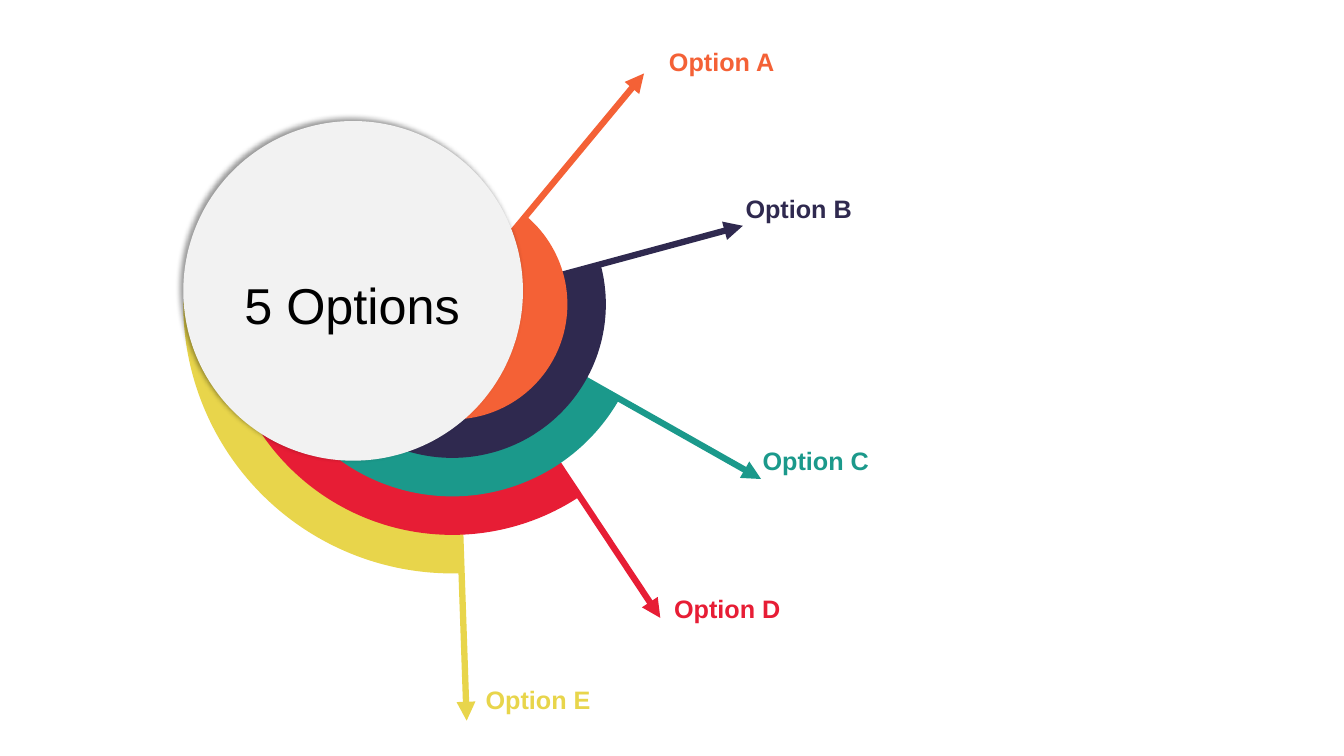
import math

import pptx
import pptx.dml.color
import pptx.enum.shapes
import pptx.enum.text
import pptx.oxml.ns
import pptx.util
from lxml import etree

Cm = pptx.util.Cm
Pt = pptx.util.Pt
RGB = pptx.dml.color.RGBColor.from_string
Kind = pptx.enum.shapes.MSO_SHAPE
Align = pptx.enum.text.PP_ALIGN
qn = pptx.oxml.ns.qn

COLORS = {
    "A": "F46136",
    "B": "2F294F",
    "C": "1B998B",
    "D": "E71D35",
    "E": "E8D54B",
    "disc": "F2F2F2",
    "text": "000000",
    "shade": "000000",
}

# All lengths in cm: hub of the pies, inner radius, growth per ring
HUB = (11.4, 7.67)
INNER, STEP = 2.9, 0.97
END = 180.58  # angle where every pie ends, in degrees

# Option, arrow tip, label corner
OPTIONS = [
    ("A", (16.23, 1.85), (16.61, 1.04)),
    ("B", (18.72, 5.69), (18.54, 4.75)),
    ("C", (19.18, 12.07), (18.97, 11.1)),
    ("D", (16.64, 15.57), (16.74, 14.83)),
    ("E", (11.76, 18.16), (11.99, 17.12)),
]


def write(shape, text, size=18, color="text", bold=False, align=Align.LEFT):
    frame = shape.text_frame
    frame.word_wrap = True
    frame.auto_size = pptx.enum.text.MSO_AUTO_SIZE.SHAPE_TO_FIT_TEXT
    para = frame.paragraphs[0]
    para.alignment = align
    run = para.add_run()
    run.text = text
    run.font.name = "Arial"
    run.font.size = Pt(size)
    run.font.bold = bold
    run.font.color.rgb = RGB(COLORS[color])


def add_round(shapes, kind, left, top, width, color):
    shape = shapes.add_shape(kind, Cm(left), Cm(top), Cm(width), Cm(width))
    shape.shadow.inherit = False
    shape.fill.solid()
    shape.fill.fore_color.rgb = RGB(COLORS[color])
    shape.line.fill.background()
    return shape


def add_pie(shapes, radius, start, color):
    left, top = (c - radius for c in HUB)
    pie = add_round(shapes, Kind.PIE, left, top, 2 * radius, color)
    # One degree is 60000 units, and adjustments count in 100000
    pie.adjustments[0] = start * 0.6
    pie.adjustments[1] = END * 0.6


def add_arrow(shapes, tip, color):
    ends = [Cm(v) for v in HUB + tip]
    arrow = shapes.add_connector(pptx.enum.shapes.MSO_CONNECTOR.STRAIGHT, *ends)
    arrow.line.width = Pt(4.5)
    arrow.line.color.rgb = RGB(COLORS[color])
    props = arrow._element.spPr
    etree.SubElement(props.find(qn("a:ln")), qn("a:tailEnd"), type="triangle")
    etree.SubElement(props, qn("a:effectLst"))


def add_ring(slide, radius, tip, color):
    group = slide.shapes.add_group_shape()
    start = math.degrees(math.atan2(tip[1] - HUB[1], tip[0] - HUB[0])) % 360
    add_pie(group.shapes, radius, start, color)
    add_arrow(group.shapes, tip, color)


def add_disc(slide):
    disc = add_round(slide.shapes, Kind.OVAL, 4.62, 3.05, 8.56, "disc")
    effects = disc._element.spPr.find(qn("a:effectLst"))
    shade = etree.SubElement(
        effects, qn("a:outerShdw"), blurRad=str(Pt(4)), dist=str(Pt(3)),
        dir=str(225 * 60000), algn="br", rotWithShape="0")
    tint = etree.SubElement(shade, qn("a:srgbClr"), val=COLORS["shade"])
    etree.SubElement(tint, qn("a:alpha"), val="40000")


def add_label(slide, name, corner):
    left, top = corner
    box = slide.shapes.add_textbox(Cm(left), Cm(top), Cm(7.01), Cm(1.02))
    write(box, f"Option {name}", color=name, bold=True)


def set_title(slide, text):
    title = slide.shapes.title
    title.left, title.top = Cm(5.08), Cm(6.76)
    title.width, title.height = Cm(7.59), Cm(1.8)
    title.text_frame.vertical_anchor = pptx.enum.text.MSO_ANCHOR.MIDDLE
    write(title, text, size=36, align=Align.CENTER)
    # The title lies on the disc, so it goes to the front
    slide.shapes._spTree.append(title._element)


def main():
    deck = pptx.Presentation()
    deck.slide_width, deck.slide_height = Cm(33.87), Cm(19.05)
    slide = deck.slides.add_slide(deck.slide_layouts[5])

    # Rings, from the widest at the back to the inner one
    for rank, (name, tip, _) in reversed(list(enumerate(OPTIONS))):
        add_ring(slide, INNER + rank * STEP, tip, name)

    # Disc, labels and title
    add_disc(slide)
    for name, _, corner in OPTIONS:
        add_label(slide, name, corner)
    set_title(slide, "5 Options")

    deck.save("out.pptx")


if __name__ == "__main__":
    main()
